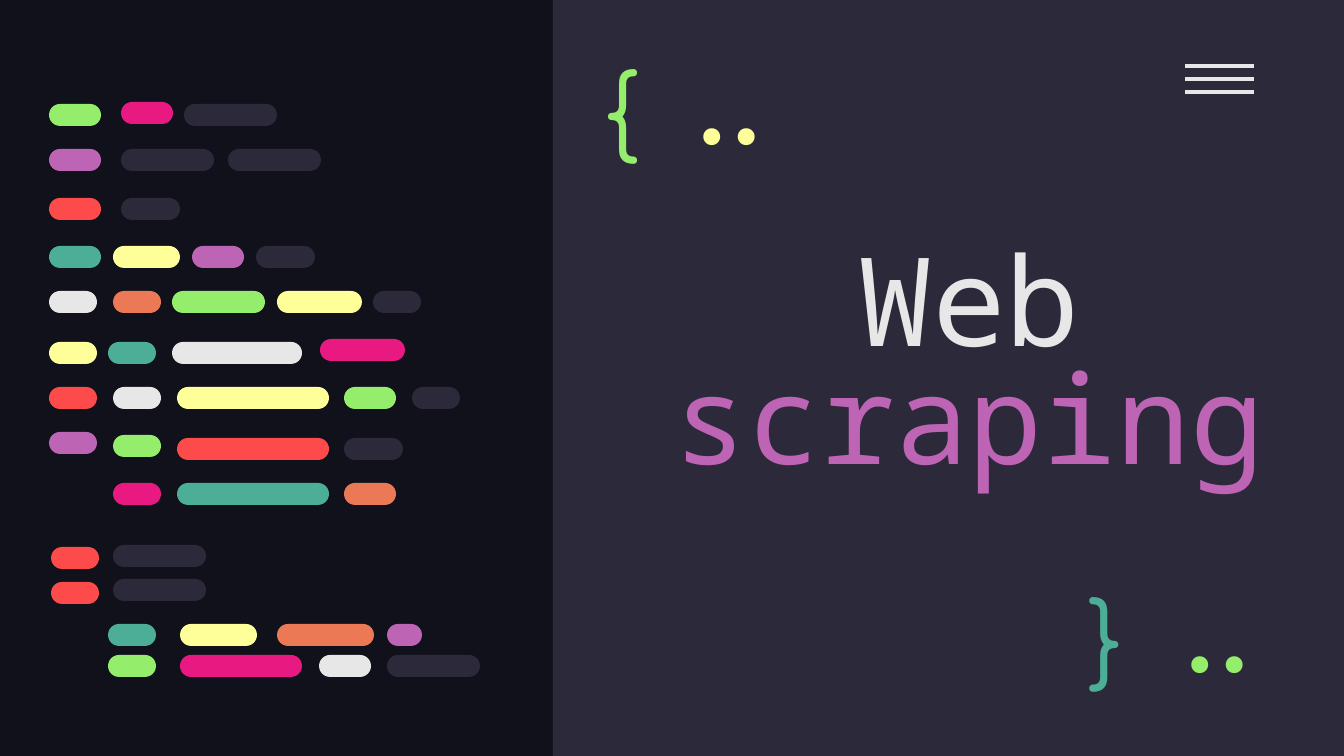
from pptx import Presentation
from pptx.dml.color import RGBColor
from pptx.enum.shapes import MSO_CONNECTOR as Conn, MSO_SHAPE as Shape
from pptx.enum.text import MSO_ANCHOR as Anchor, MSO_AUTO_SIZE as Auto, PP_ALIGN as Align
from pptx.util import Pt
from lxml.etree import SubElement
from pptx.oxml.ns import qn

WIDE, HIGH = 1344, 756
SCALE = 9144000 / WIDE

NIGHT, DARK, WHITE = "10111A", "2C293A", "E7E7E7"
GREEN, PINK, PURPLE, RED = "94EE6B", "E81A81", "BD64B5", "FD4A4A"
TEAL, YELLOW, ORANGE = "4CAE97", "FFFF99", "EC7955"

PANEL = (553, 0, 791, HIGH)
MENU = {"left": 1185, "right": 1254, "top": 66, "gap": 13, "count": 3}
PILL = 22

# Rows of code: top, then (left, width, colour) of each pill
CODE = [
    (104, [(49, 52, GREEN), (184, 93, DARK)]),
    (102, [(121, 52, PINK)]),
    (149, [(49, 52, PURPLE), (121, 93, DARK), (228, 93, DARK)]),
    (198, [(49, 52, RED), (121, 59, DARK)]),
    (246, [(49, 52, TEAL), (113, 67, YELLOW), (192, 52, PURPLE), (256, 59, DARK)]),
    (291, [(49, 48, WHITE), (113, 48, ORANGE), (172, 93, GREEN), (277, 85, YELLOW),
           (373, 48, DARK)]),
    (342, [(49, 48, YELLOW), (108, 48, TEAL), (172, 130, WHITE)]),
    (339, [(320, 85, PINK)]),
    (387, [(49, 48, RED), (113, 48, WHITE), (177, 152, YELLOW), (344, 52, GREEN),
           (412, 48, DARK)]),
    (432, [(49, 48, PURPLE)]),
    (435, [(113, 48, GREEN)]),
    (438, [(177, 152, RED), (344, 59, DARK)]),
    (483, [(113, 48, PINK), (177, 152, TEAL), (344, 52, ORANGE)]),
    (547, [(51, 48, RED)]),
    (545, [(113, 93, DARK)]),
    (582, [(51, 48, RED)]),
    (579, [(113, 93, DARK)]),
    (624, [(108, 48, TEAL), (180, 77, YELLOW), (277, 97, ORANGE), (387, 35, PURPLE)]),
    (655, [(108, 48, GREEN), (180, 122, PINK), (319, 52, WHITE), (387, 93, DARK)]),
]

TITLE = [("Web ", WHITE), ("scraping", PURPLE)]
TITLE_BOX = (626, 184, 686, 372)
BRACES = [("{", GREEN, (590, 36, 104, 128)), ("}", TEAL, (1075, 564, 77, 112))]
DOTS = [("..", GREEN, (1144, 595, 144, 81)), ("..", YELLOW, (656, 67, 144, 81))]


def px(*vals):
    return [round(val * SCALE) for val in vals]


def rgb(code):
    return RGBColor.from_string(code)


def block(kind, box, color):
    shape = slide.shapes.add_shape(kind, *px(*box))
    shape.shadow.inherit = False
    shape.fill.solid()
    shape.fill.fore_color.rgb = rgb(color)
    shape.line.fill.background()
    return shape


def write(box, runs, font, size, align=Align.LEFT, anchor=Anchor.TOP, space=None, shape=None):
    """Fill the given placeholder, or a new text box, with coloured runs."""
    shape = shape or slide.shapes.add_textbox(*px(*box))
    shape.left, shape.top, shape.width, shape.height = px(*box)
    frame = shape.text_frame
    frame.word_wrap = True
    frame.auto_size = Auto.NONE
    frame.vertical_anchor = anchor
    frame.margin_left = frame.margin_right = Pt(7.2)
    frame.margin_top = frame.margin_bottom = Pt(7.2)
    para = frame.paragraphs[0]
    para.alignment = align
    para.line_spacing = space
    for text, color in runs:
        run = para.add_run()
        run.text = text
        run.font.name = font
        run.font.size = Pt(size)
        run.font.color.rgb = rgb(color)


deck = Presentation()
deck.slide_width, deck.slide_height = px(WIDE, HIGH)
slide = deck.slides.add_slide(deck.slide_layouts[5])
back = slide.background.fill
back.solid()
back.fore_color.rgb = rgb(NIGHT)

block(Shape.RECTANGLE, PANEL, DARK)

for row in range(MENU["count"]):
    y = MENU["top"] + row * MENU["gap"]
    bar = slide.shapes.add_connector(Conn.STRAIGHT, *px(MENU["left"], y, MENU["right"], y))
    bar.line.color.rgb = rgb(WHITE)
    bar.line.width = Pt(2.25)
    SubElement(bar.element.spPr, qn("a:effectLst"))

title = slide.shapes.title
title.element.getparent().append(title.element)  # bring in front of the panel
write(TITLE_BOX, TITLE, "Noto Sans Mono", 66, Align.CENTER, Anchor.MIDDLE, 0.8, title)

for top, pills in CODE:
    for left, width, color in pills:
        pill = block(Shape.ROUNDED_RECTANGLE, (left, top, width, PILL), color)
        pill.adjustments[0] = 0.5

for text, color, box in BRACES:
    write(box, [(text, color)], "Comfortaa", 50)
for text, color, box in DOTS:
    write(box, [(text, color)], "Fira Code", 50, Align.RIGHT, Anchor.MIDDLE)

deck.save("out.pptx")
